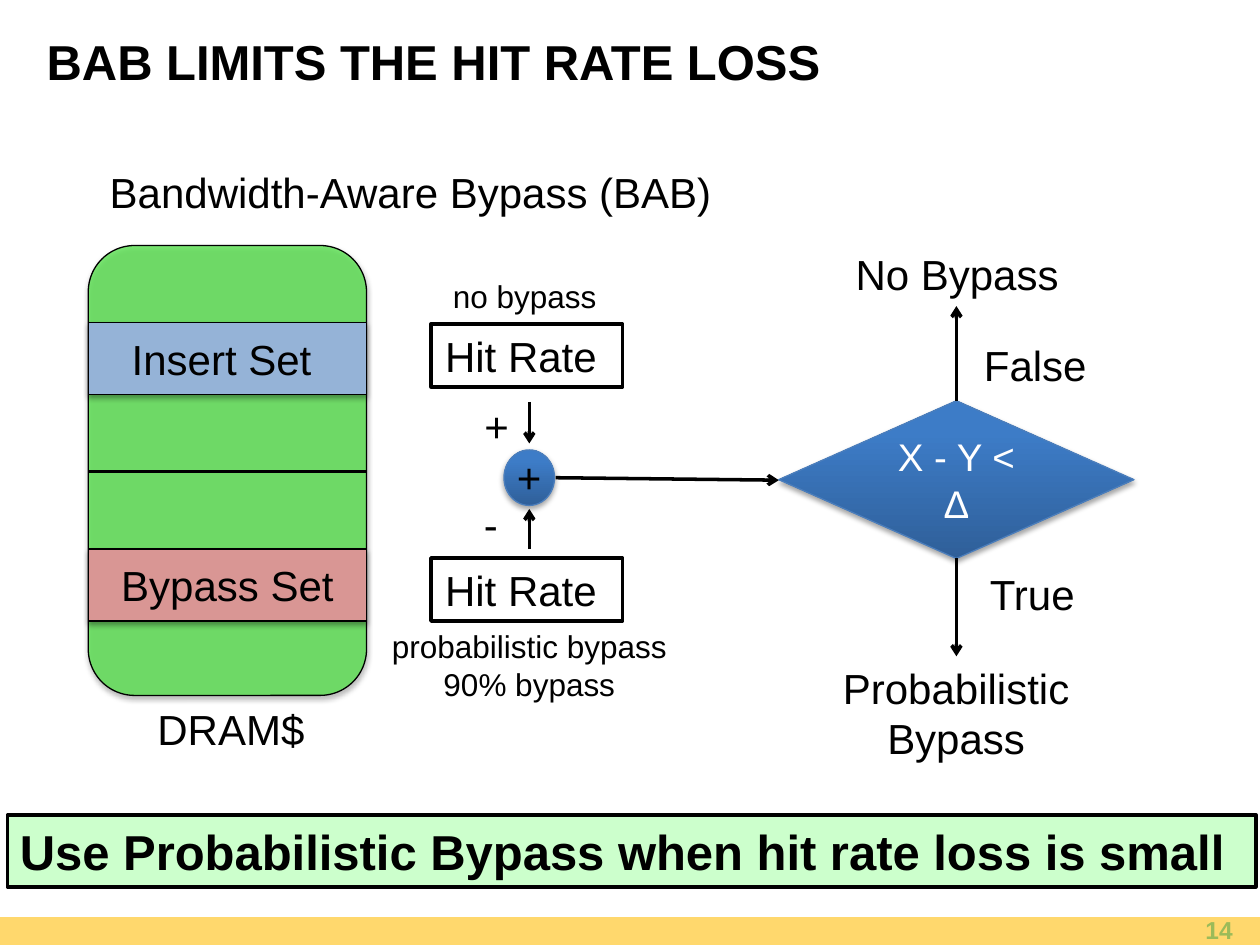
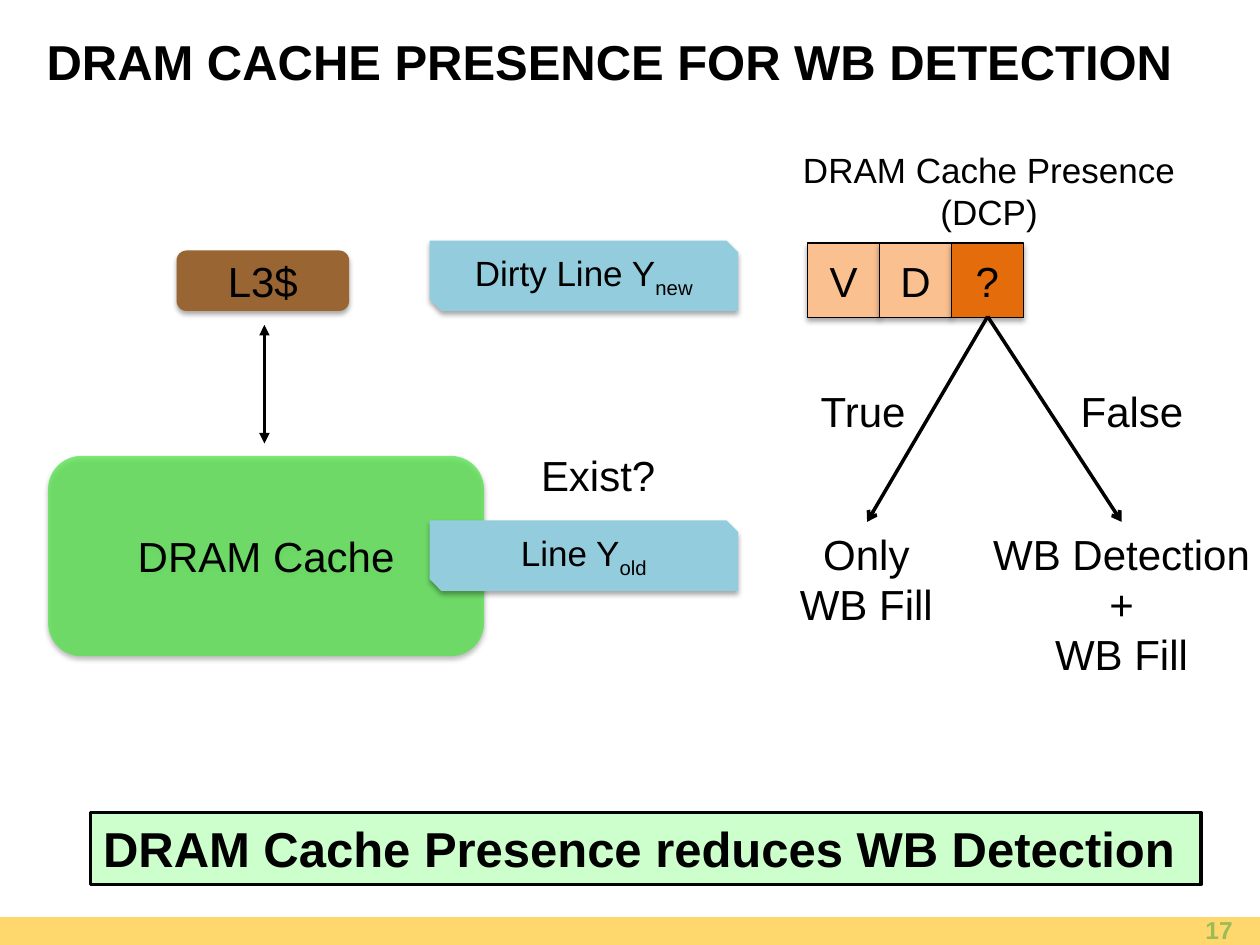
from dataclasses import dataclass
from typing import Optional

from lxml.etree import SubElement
from pptx import Presentation
from pptx.dml.color import RGBColor
from pptx.enum.shapes import MSO_CONNECTOR as Connector, MSO_SHAPE as Preset
from pptx.enum.text import MSO_ANCHOR as Anchor, PP_ALIGN as Align
from pptx.oxml.ns import qn
from pptx.shapes.autoshape import Shape
from pptx.slide import Slide
from pptx.text.text import TextFrame
from pptx.util import Cm, Pt


@dataclass(frozen=True)
class Theme:
    font: str = "Arial"
    black: str = "000000"
    white: str = "FFFFFF"
    band: str = "FFD86D"
    number: str = "9BBB59"
    cache: str = "54E44A"
    insert_set: str = "95B3D7"
    bypass_set: str = "D99694"
    takeaway: str = "CCFFCC"
    l3: str = "996633"
    data_line: str = "93CDDD"
    bit: str = "FAC090"
    presence_bit: str = "E46C0A"
    blue_low: str = "2F5F99"
    blue_high: str = "3D7CC7"
    blue_edge: str = "4B7EBC"
    headline: int = 28
    body: int = 24
    decision: int = 22
    medium: int = 20
    small: int = 18
    footer: int = 14
    thin: float = 0.75
    medium_line: float = 1.5
    thick: float = 2


THEME = Theme()


@dataclass(frozen=True)
class Box:
    """Left, top, width and height in centimetres."""
    left: float
    top: float
    width: float
    height: float = 1.27

    def lengths(self) -> list[Cm]:
        return [Cm(v) for v in (self.left, self.top, self.width, self.height)]


@dataclass(frozen=True)
class Label:
    text: str
    box: Box
    size: int = THEME.body
    color: str = THEME.black
    bold: bool = False
    align: Align = Align.CENTER
    anchor: Anchor = Anchor.TOP
    wrap: bool = False
    subscript: str = ""


@dataclass(frozen=True)
class Block:
    box: Box
    fill: Optional[str] = None  # no colour means no fill
    preset: Preset = Preset.RECTANGLE
    text: str = ""
    subscript: str = ""
    size: int = THEME.body
    color: str = THEME.black
    bold: bool = False
    align: Align = Align.CENTER
    anchor: Anchor = Anchor.MIDDLE
    wrap: bool = True
    edge: Optional[str] = None
    edge_width: float = THEME.thin
    opacity: int = 100
    gradient: bool = False
    shadow: bool = True


@dataclass(frozen=True)
class Line:
    start: tuple[float, float]
    end: tuple[float, float]
    head: str = ""
    tail: str = "arrow"
    width: float = THEME.thick


# Drawing functions
def write_text(frame: TextFrame, item: Label | Block) -> None:
    frame.word_wrap = item.wrap
    frame.vertical_anchor = item.anchor
    for index, text in enumerate(item.text.split("\n")):
        paragraph = frame.paragraphs[0] if index == 0 else frame.add_paragraph()
        paragraph.alignment = item.align
        font = paragraph.font
        font.name, font.size, font.bold = THEME.font, Pt(item.size), item.bold
        font.color.rgb = RGBColor.from_string(item.color)
        paragraph.add_run().text = text
    if item.subscript:
        run = paragraph.add_run()
        run.text = item.subscript
        run.font._element.set("baseline", "-25000")


def add_label(slide: Slide, label: Label) -> None:
    write_text(slide.shapes.add_textbox(*label.box.lengths()).text_frame, label)


def add_soft_shadow(shape: Shape) -> None:
    effects = shape._element.spPr.find(qn("a:effectLst"))
    shadow = SubElement(effects, qn("a:outerShdw"), blurRad=str(Pt(3.1)),
                        dist=str(Pt(1.8)), dir="5400000", rotWithShape="0")
    color = SubElement(shadow, qn("a:srgbClr"), val=THEME.black)
    SubElement(color, qn("a:alpha"), val="35000")


def fill_block(shape: Shape, block: Block) -> None:
    if block.gradient:
        shape.fill.gradient()
        shape.fill.gradient_angle = 90
        stops = ((0, THEME.blue_low), (0.8, THEME.blue_high))
        for stop, (position, color) in zip(shape.fill.gradient_stops, stops):
            stop.position = position
            stop.color.rgb = RGBColor.from_string(color)
    elif block.fill:
        shape.fill.solid()
        shape.fill.fore_color.rgb = RGBColor.from_string(block.fill)
        if block.opacity < 100:
            color = shape._element.spPr.find(f"{qn('a:solidFill')}/{qn('a:srgbClr')}")
            SubElement(color, qn("a:alpha"), val=str(block.opacity * 1000))
    else:
        shape.fill.background()


def add_block(slide: Slide, block: Block) -> None:
    shape = slide.shapes.add_shape(block.preset, *block.box.lengths())
    fill_block(shape, block)
    if block.edge:
        shape.line.color.rgb = RGBColor.from_string(block.edge)
        shape.line.width = Pt(block.edge_width)
    else:
        shape.line.fill.background()
    shape.shadow.inherit = False
    if block.shadow:
        add_soft_shadow(shape)
    if block.text:
        write_text(shape.text_frame, block)


def add_line(slide: Slide, line: Line) -> None:
    ends = [Cm(v) for v in (*line.start, *line.end)]
    connector = slide.shapes.add_connector(Connector.STRAIGHT, *ends)
    connector.line.color.rgb = RGBColor.from_string(THEME.black)
    connector.line.width = Pt(line.width)
    properties = connector._element.spPr
    outline = properties.find(qn("a:ln"))
    for tag, kind in (("a:headEnd", line.head), ("a:tailEnd", line.tail)):
        if kind:
            SubElement(outline, qn(tag), type=kind)
    SubElement(properties, qn("a:effectLst"))


def draw(slide: Slide, items: list[Label | Block | Line]) -> None:
    painters = {Label: add_label, Block: add_block, Line: add_line}
    for item in items:
        painters[type(item)](slide, item)


# Parts that the slides share
def start_slide(presentation: Presentation, title: str, number: int) -> Slide:
    slide = presentation.slides.add_slide(presentation.slide_layouts[6])
    draw(slide, [
        Block(Box(0, 18.49, 25.4, 0.56), THEME.band, shadow=False),
        Label(title, Box(0.69, 0.56, 23.29, 1.35), THEME.headline, bold=True,
              align=Align.LEFT, anchor=Anchor.MIDDLE, wrap=True),
        Label(str(number), Box(19.18, 18.42, 5.92, 0.66), THEME.footer, THEME.number,
              bold=True, align=Align.RIGHT, anchor=Anchor.MIDDLE, wrap=True),
    ])
    return slide


def takeaway(text: str, box: Box) -> Block:
    return Block(box, THEME.takeaway, text=text, size=THEME.headline, bold=True,
                 align=Align.LEFT, anchor=Anchor.TOP, edge=THEME.black,
                 edge_width=THEME.thick, shadow=False)


def cache(box: Box, text: str = "", edge: Optional[str] = None) -> Block:
    return Block(box, THEME.cache, Preset.ROUNDED_RECTANGLE, text, edge=edge, opacity=75)


def cache_set(text: str, top: float, fill: str) -> Block:
    return Block(Box(1.78, top, 5.61, 1.45), fill, text=text, edge=THEME.black)


def hit_rate(top: float) -> Block:
    return Block(Box(8.69, top, 3.86), text="Hit Rate ", anchor=Anchor.TOP, wrap=False,
                 edge=THEME.black, edge_width=THEME.thick, shadow=False)


def blue_block(preset: Preset, box: Box, text: str = "") -> Block:
    return Block(box, preset=preset, text=text, size=THEME.decision, color=THEME.white,
                 edge=THEME.blue_edge, gradient=True)


def data_line(text: str, subscript: str, top: float) -> Block:
    return Block(Box(8.66, top, 6.22, 1.42), THEME.data_line,
                 Preset.SNIP_2_DIAG_RECTANGLE, text, subscript, THEME.medium)


def build_bypass_slide(presentation: Presentation) -> None:
    slide = start_slide(presentation, "BAB LIMITS THE HIT RATE LOSS", 14)
    sum_x, decision_x = 10.67, 19.28
    draw(slide, [
        Label("Bandwidth-Aware Bypass (BAB)", Box(1.9, 3.23, 12.75)),
        # Cache with its sampled sets
        cache(Box(1.78, 4.95, 5.61, 9.07), edge=THEME.black),
        Label("DRAM$", Box(2.9, 14.05, 3.51)),
        cache_set("Insert Set ", 6.5, THEME.insert_set),
        cache_set(" Bypass Set ", 11.07, THEME.bypass_set),
        Line((1.78, 9.5), (7.37, 9.5), tail="", width=THEME.medium_line),
        # Hit rates and their difference
        Label("no bypass", Box(8.86, 5.46, 3.43, 1.02), THEME.small),
        hit_rate(6.53),
        hit_rate(11.25),
        Label("probabilistic bypass\n90% bypass", Box(7.62, 12.52, 6.1, 1.8), THEME.small),
        Line((sum_x, 8.1), (sum_x, 8.94)),
        Line((sum_x, 11.07), (sum_x, 10.26)),
        blue_block(Preset.OVAL, Box(10.16, 9.07, 1.02, 1.12)),
        Label("+", Box(10.16, 8.97, 1.02)),
        Label("+", Box(9.5, 7.95, 1.02)),
        Label("-", Box(9.5, 9.93, 0.79)),
        # Decision and its outcomes
        Line((11.2, 9.63), (15.7, 9.68)),
        blue_block(Preset.DIAMOND, Box(15.7, 8.08, 7.16, 3.18), "X - Y < Δ"),
        Line((decision_x, 8.08), (decision_x, 6.17)),
        Line((decision_x, 11.25), (decision_x, 13.23)),
        Label("False", Box(19.56, 6.71, 2.62)),
        Label("True", Box(19.69, 11.33, 2.24)),
        Label("No Bypass", Box(16.97, 4.88, 4.65)),
        Label("Probabilistic \nBypass", Box(16.71, 13.23, 5.13, 2.31)),
        takeaway("Use Probabilistic Bypass when hit rate loss is small",
                 Box(0.15, 16.43, 25.17, 1.45)),
    ])


def build_presence_slide(presentation: Presentation) -> None:
    slide = start_slide(presentation, "DRAM CACHE PRESENCE FOR WB DETECTION", 17)
    bits = (("V", THEME.bit), ("D", THEME.bit), ("?", THEME.presence_bit))
    bit_left, bit_width = 16.28, 1.45
    fork = (19.91, 6.38)
    draw(slide, [
        # Cache levels and the line held in each
        Block(Box(3.56, 5.05, 3.48, 1.22), THEME.l3, Preset.ROUNDED_RECTANGLE, "L3$"),
        cache(Box(0.97, 9.19, 8.79, 4.04), "DRAM Cache"),
        Line((5.33, 6.55), (5.33, 8.94), head="triangle", tail="triangle"),
        Label("Exist?", Box(10.64, 8.94, 2.84)),
        data_line("Line Y", "old", 10.49),
        data_line("Dirty Line Y", "new", 4.85),
        # Status bits
        Label("DRAM Cache Presence\n(DCP)", Box(15.9, 2.87, 8.08, 1.96), THEME.medium),
        *(Block(Box(bit_left + index * bit_width, 4.9, bit_width, 1.5), fill,
                text=text, edge=THEME.black) for index, (text, fill) in enumerate(bits)),
        # Outcomes of the presence bit
        Line(fork, (17.48, 10.52)),
        Line(fork, (22.61, 10.52)),
        Label("True", Box(16.28, 7.65, 2.24)),
        Label("False", Box(21.51, 7.65, 2.62)),
        Label("Only\nWB Fill", Box(15.85, 10.52, 3.23, 2.31)),
        Label("WB Detection\n+\nWB Fill", Box(19.74, 10.52, 5.74, 3.33)),
        takeaway("DRAM Cache Presence reduces WB Detection", Box(1.83, 16.38, 22.38, 1.45)),
    ])


def main() -> None:
    presentation = Presentation()
    presentation.slide_width, presentation.slide_height = Cm(25.4), Cm(19.05)
    build_bypass_slide(presentation)
    build_presence_slide(presentation)
    presentation.save("out.pptx")


if __name__ == "__main__":
    main()
